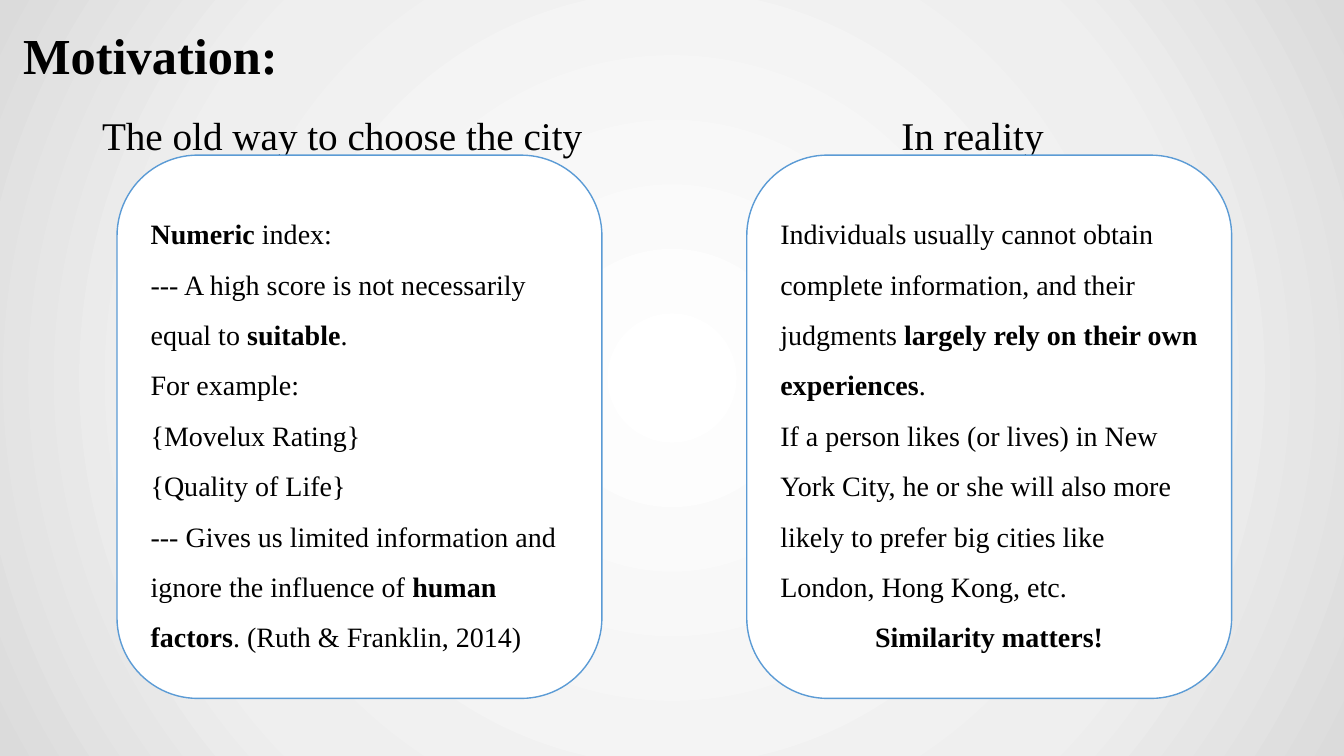
from lxml import etree
from pptx import Presentation
from pptx import util as u
from pptx.dml.color import RGBColor
from pptx.enum import shapes, text
from pptx.oxml.ns import qn

FONT = "Times New Roman"
BLACK = RGBColor(0x00, 0x00, 0x00)
WHITE = RGBColor(0xFF, 0xFF, 0xFF)
CARD_BLUE = RGBColor(0x5B, 0x9B, 0xD5)
MID_GREY = RGBColor(0xEF, 0xEF, 0xEF)
EDGE_GREY = RGBColor(0xDB, 0xDB, 0xDB)

# Each paragraph is a list of pieces; every second piece is bold
OLD_WAY = [
    ["", "Numeric", " index:"],
    ["--- A high score is not necessarily equal to ", "suitable", "."],
    ["For example:"],
    ["{Movelux Rating}"],
    ["{Quality of Life}"],
    ["--- Gives us limited information and ignore the influence of ",
     "human factors", ". (Ruth & Franklin, 2014)"],
]
REALITY = [
    ["Individuals usually cannot obtain complete information, and their judgments ",
     "largely rely on their own experiences", "."],
    ["If a person likes (or lives) in New York City, he or she will also more "
     "likely to prefer big cities like London, Hong Kong, etc."],
]
CONCLUSION = ["", "Similarity matters!"]


def style(paragraph, size, align=text.PP_ALIGN.LEFT, spacing=1.5):
    paragraph.alignment = align
    paragraph.line_spacing = spacing
    paragraph.font.name = FONT
    paragraph.font.size = u.Pt(size)
    paragraph.font.color.rgb = BLACK


def paint_background(slide):
    """White centre fading to grey in the corners."""
    fill = slide.background.fill
    fill.gradient()
    gradient = slide.background._cSld.find(".//" + qn("a:gradFill"))
    for child in list(gradient):
        gradient.remove(child)
    stops = etree.SubElement(gradient, qn("a:gsLst"))
    for position, colour in ((0, WHITE), (67, MID_GREY), (100, EDGE_GREY)):
        stop = etree.SubElement(stops, qn("a:gs"), pos=str(position * 1000))
        etree.SubElement(stop, qn("a:srgbClr"), val=str(colour))
    circle = etree.SubElement(gradient, qn("a:path"), path="circle")
    etree.SubElement(circle, qn("a:fillToRect"),
                     {side: "50000" for side in "ltrb"})


def add_title(slide, left, top, width, height):
    title = slide.shapes.title
    title.left, title.top, title.width, title.height = left, top, width, height
    frame = title.text_frame
    frame.text = "Motivation:"
    frame.vertical_anchor = text.MSO_ANCHOR.TOP
    frame.auto_size = text.MSO_AUTO_SIZE.NONE
    frame.margin_top = u.Cm(0.25)
    style(frame.paragraphs[0], 36, spacing=1.0)
    frame.paragraphs[0].font.bold = True


def add_heading(slide, words, left, top, width, height):
    frame = slide.shapes.add_textbox(left, top, width, height).text_frame
    frame.word_wrap = True
    frame.text = words
    style(frame.paragraphs[0], 28, text.PP_ALIGN.CENTER)


def add_card(slide, paragraphs, left, top, width, height):
    card = slide.shapes.add_shape(
        shapes.MSO_SHAPE.ROUNDED_RECTANGLE, left, top, width, height)
    card.shadow.inherit = False
    card.fill.solid()
    card.fill.fore_color.rgb = WHITE
    card.line.color.rgb = CARD_BLUE
    card.line.width = u.Pt(1)
    frame = card.text_frame
    frame.word_wrap = True
    frame.vertical_anchor = text.MSO_ANCHOR.MIDDLE
    for index, pieces in enumerate(paragraphs):
        paragraph = frame.add_paragraph() if index else frame.paragraphs[0]
        centred = pieces is CONCLUSION
        style(paragraph, 20,
              text.PP_ALIGN.CENTER if centred else text.PP_ALIGN.LEFT)
        for order, piece in enumerate(pieces):
            if piece:
                run = paragraph.add_run()
                run.text = piece
                run.font.bold = order % 2 == 1


def add_column(slide, heading, paragraphs, left, top, width, height,
               heading_left, heading_width):
    """A heading that ends where its card begins."""
    heading_height = u.Cm(1.83)
    add_heading(slide, heading, heading_left, top, heading_width, heading_height)
    add_card(slide, paragraphs, left, top + heading_height,
             width, height - heading_height)


def main():
    deck = Presentation()
    deck.slide_width, deck.slide_height = u.Cm(33.87), u.Cm(19.05)
    slide = deck.slides.add_slide(deck.slide_layouts.get_by_name("Title Only"))

    paint_background(slide)
    add_title(slide, u.Cm(0.33), u.Cm(0.36), u.Cm(11.66), u.Cm(2.64))

    # Two columns of equal size
    top, width, height = u.Cm(2.08), u.Cm(12.22), u.Cm(15.52)
    add_column(slide, "The old way to choose the city", OLD_WAY,
               u.Cm(2.95), top, width, height, u.Cm(1.12), u.Cm(15.01))
    add_column(slide, "In reality", REALITY + [CONCLUSION],
               u.Cm(18.82), top, width, height, u.Cm(16.46), u.Cm(16.1))

    deck.save("out.pptx")


if __name__ == "__main__":
    main()
